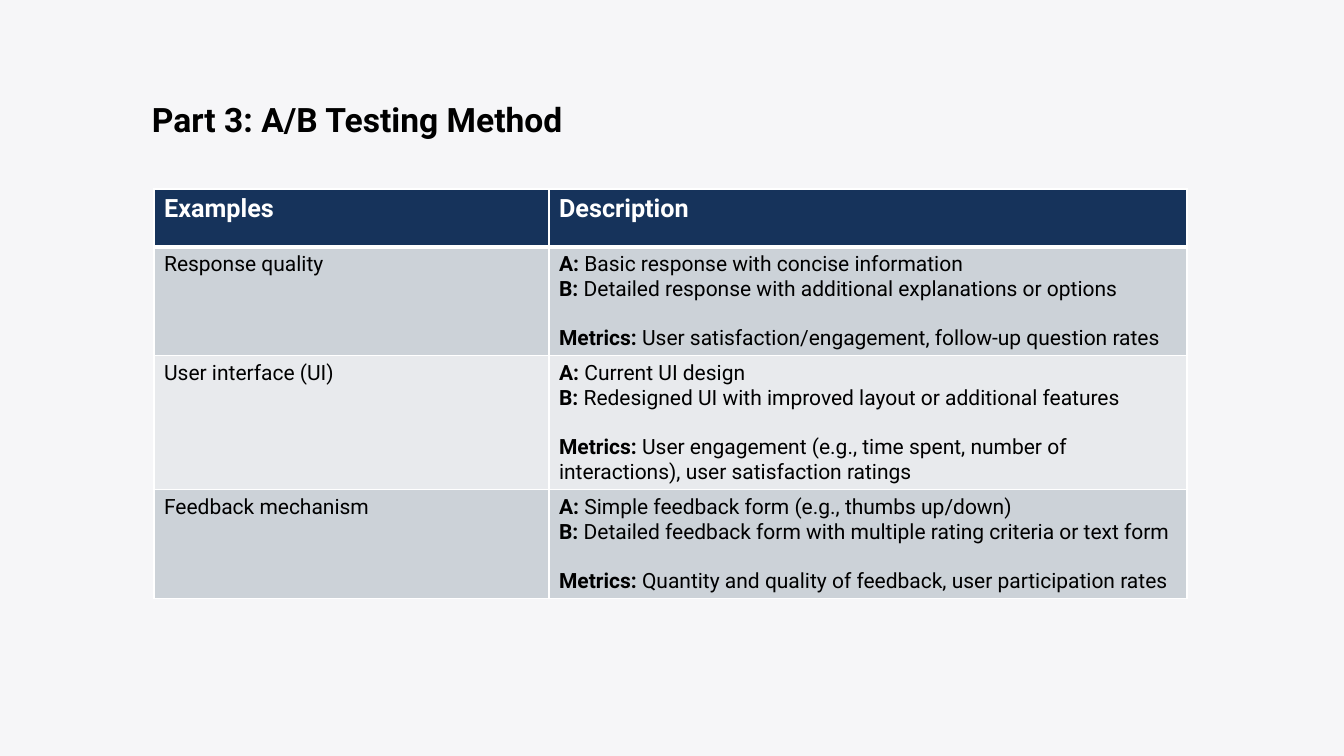
from lxml.etree import SubElement
from pptx import Presentation
from pptx.dml.color import RGBColor
from pptx.oxml.ns import qn
from pptx.util import Emu, Pt

PX = 914400 / 100.8
FONT = "Roboto"
BACKGROUND = RGBColor(0xF6, 0xF6, 0xF8)
NAVY = RGBColor(0x16, 0x33, 0x5B)
BAND_DARK = RGBColor(0xCC, 0xD2, 0xD8)
BAND_LIGHT = RGBColor(0xE8, 0xEA, 0xED)
WHITE = RGBColor(0xFF, 0xFF, 0xFF)
BLACK = RGBColor(0x00, 0x00, 0x00)

BODY_SIZE = 15
BLANK_LINE = Pt(17.6)
COLUMN_WIDTHS = (395, 638)
ROW_HEIGHTS = (58, 108, 134, 108)

HEADERS = ("Examples", "Description")
TESTS = (
    ("Response quality",
     "Basic response with concise information",
     "Detailed response with additional explanations or options",
     "User satisfaction/engagement, follow-up question rates"),
    ("User interface (UI)",
     "Current UI design",
     "Redesigned UI with improved layout or additional features",
     "User engagement (e.g., time spent, number of interactions), "
     "user satisfaction ratings"),
    ("Feedback mechanism",
     "Simple feedback form (e.g., thumbs up/down)",
     "Detailed feedback form with multiple rating criteria or text form",
     "Quantity and quality of feedback, user participation rates"),
)


def px(n):
    return Emu(round(n * PX))


def add_run(p, text, size, color=BLACK, bold=False):
    r = p.add_run()
    r.text = text
    r.font.name = FONT
    r.font.size = Pt(size)
    r.font.bold = bold
    r.font.color.rgb = color


def style_cell(cell, fill, top=1, bottom=1):
    """Give the cell white borders (widths in points) and a solid fill."""
    tc_pr = cell._tc.get_or_add_tcPr()
    for side, width in (("L", 1), ("R", 1), ("T", top), ("B", bottom)):
        ln = SubElement(tc_pr, qn(f"a:ln{side}"), w=str(Pt(width)))
        SubElement(SubElement(ln, qn("a:solidFill")), qn("a:srgbClr"), val=str(WHITE))
    cell.fill.solid()
    cell.fill.fore_color.rgb = fill


def write_description(tf, variant_a, variant_b, metrics):
    lines = (("A:", variant_a), ("B:", variant_b), ("Metrics:", metrics))
    for i, (label, text) in enumerate(lines):
        p = tf.add_paragraph() if i else tf.paragraphs[0]
        add_run(p, label, BODY_SIZE, bold=True)
        add_run(p, f" {text}", BODY_SIZE)
    p.space_before = BLANK_LINE


def add_title(slide, text, left, top, width, height):
    box = slide.shapes.add_textbox(px(left), px(top), px(width), px(height))
    tf = box.text_frame
    tf.word_wrap = True
    p = tf.paragraphs[0]
    p.line_spacing = 0.9
    add_run(p, text, 24, bold=True)


def add_test_table(slide, left, top):
    table = slide.shapes.add_table(
        len(ROW_HEIGHTS), len(COLUMN_WIDTHS), px(left), px(top),
        px(sum(COLUMN_WIDTHS)), px(sum(ROW_HEIGHTS))).table
    table.horz_banding = False
    for column, width in zip(table.columns, COLUMN_WIDTHS):
        column.width = px(width)
    for row, height in zip(table.rows, ROW_HEIGHTS):
        row.height = px(height)

    for col, header in enumerate(HEADERS):
        cell = table.cell(0, col)
        style_cell(cell, NAVY, bottom=3)
        add_run(cell.text_frame.paragraphs[0], header, 18, WHITE, True)

    for row, (example, *description) in enumerate(TESTS, 1):
        for cell in table.rows[row].cells:
            style_cell(cell, BAND_DARK if row % 2 else BAND_LIGHT,
                       top=3 if row == 1 else 1)
        add_run(table.cell(row, 0).text_frame.paragraphs[0], example, BODY_SIZE)
        write_description(table.cell(row, 1).text_frame, *description)


def main():
    prs = Presentation()
    prs.slide_width, prs.slide_height = px(1344), px(756)
    slide = prs.slides.add_slide(prs.slide_layouts[6])
    slide.background.fill.solid()
    slide.background.fill.fore_color.rgb = BACKGROUND
    add_test_table(slide, 154, 189)
    add_title(slide, "Part 3: A/B Testing Method", 142, 99, 573, 63)
    prs.save("out.pptx")


if __name__ == "__main__":
    main()
